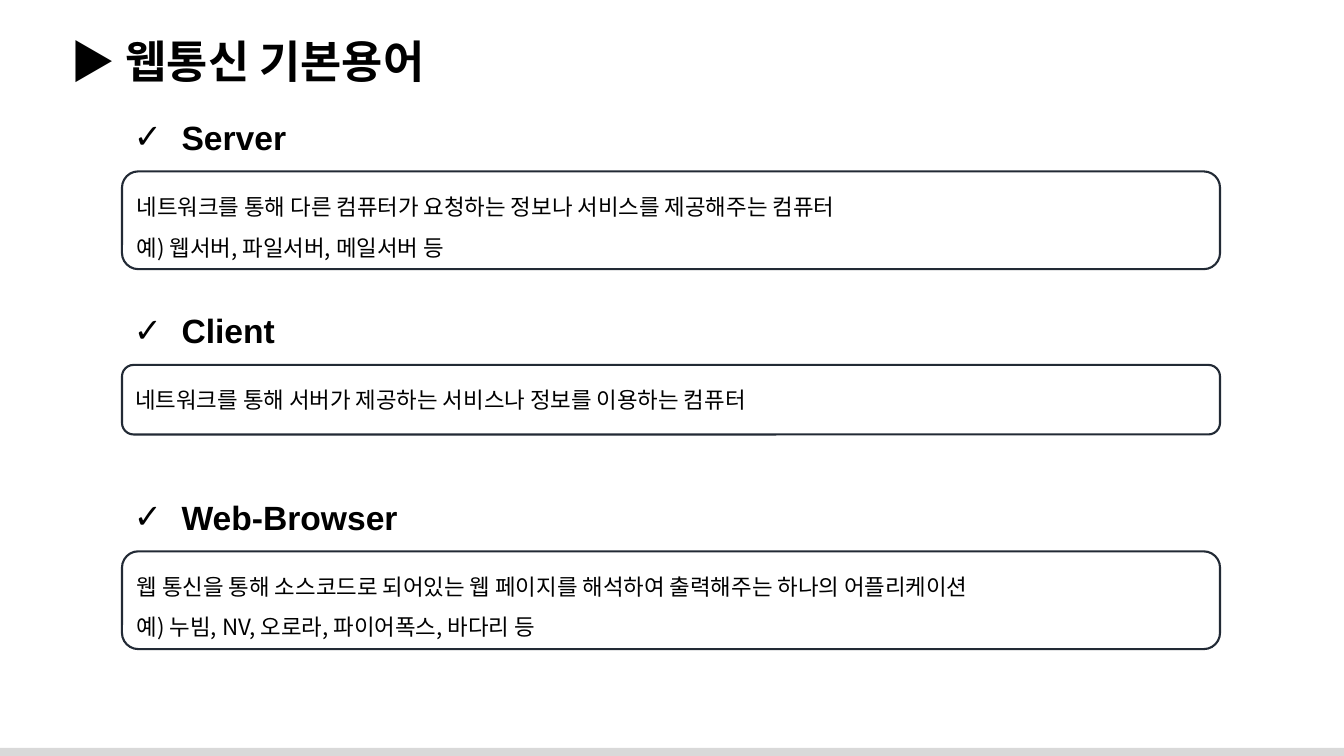
import pptx
import pptx.util
import pptx.dml.color
import pptx.enum.shapes
import pptx.enum.text
import pptx.oxml.ns
from lxml import etree

RGBColor = pptx.dml.color.RGBColor
BLACK = RGBColor(0x00, 0x00, 0x00)
NAVY = RGBColor(0x22, 0x2A, 0x35)
GRAY = RGBColor(0xD9, 0xD9, 0xD9)

HEAD = "Arial"
BODY = "Noto Sans CJK KR"
WIDE = pptx.util.Inches(13.33)
HIGH = pptx.util.Inches(7.5)
SHAPE = pptx.enum.shapes.MSO_SHAPE
ANCHOR = pptx.enum.text.MSO_ANCHOR
ALIGN = pptx.enum.text.PP_ALIGN
FIT = pptx.enum.text.MSO_AUTO_SIZE

# Shares of the slide, in percent
LEFT, SPAN = 9.08, 81.7
LIFT = 7.87  # from a term down to its card

# Term, card top, card height, line spacing, card lines
TERMS = [
    ("Server", 22.67, 12.93, 1.5,
     ["네트워크를 통해 다른 컴퓨터가 요청하는 정보나 서비스를 제공해주는 컴퓨터",
      "예) 웹서버, 파일서버, 메일서버 등"]),
    ("Client", 48.27, 9.2, 1.0,
     ["네트워크를 통해 서버가 제공하는 서비스나 정보를 이용하는 컴퓨터"]),
    ("Web-Browser", 72.93, 12.93, 1.5,
     ["웹 통신을 통해 소스코드로 되어있는 웹 페이지를 해석하여 출력해주는 하나의 어플리케이션",
      "예) 누빔, NV, 오로라, 파이어폭스, 바다리 등"]),
]


def area(left, top, wide, high):
    """Turn percent shares into slide lengths."""
    return (int(WIDE * left / 100), int(HIGH * top / 100),
            int(WIDE * wide / 100), int(HIGH * high / 100))


def add_run(para, text, size, face, bold=False):
    run = para.add_run()
    run.text = text
    font = run.font
    font.size = pptx.util.Pt(size)
    font.name = face
    font.bold = bold
    font.color.rgb = BLACK
    if face == BODY:
        east = etree.SubElement(font._element, pptx.oxml.ns.qn("a:ea"))
        east.set("typeface", face)


def add_check(para):
    """Give a paragraph a hanging check mark."""
    props = para._p.get_or_add_pPr()
    hang = pptx.util.Inches(0.38)
    props.set("marL", str(hang))
    props.set("indent", str(-hang))
    face = etree.SubElement(props, pptx.oxml.ns.qn("a:buFont"))
    face.set("typeface", HEAD)
    mark = etree.SubElement(props, pptx.oxml.ns.qn("a:buChar"))
    mark.set("char", "✓")


def add_title(slide, text):
    title = slide.shapes.title
    title.left, title.top, title.width, title.height = area(4.5, 3.73, 94.5, 8.53)
    frame = title.text_frame
    frame.auto_size = FIT.NONE
    frame.vertical_anchor = ANCHOR.TOP
    para = frame.paragraphs[0]
    para.alignment = ALIGN.LEFT
    add_run(para, text, 32, HEAD, True)


def add_term(slide, name, top):
    box = slide.shapes.add_textbox(*area(9.23, top, 21.5, 6.67))
    box.text_frame.word_wrap = True
    para = box.text_frame.paragraphs[0]
    add_check(para)
    add_run(para, " " + name, 24, HEAD, True)


def add_card(slide, top, high, gap, lines):
    card = slide.shapes.add_shape(SHAPE.ROUNDED_RECTANGLE,
                                  *area(LEFT, top, SPAN, high))
    card.shadow.inherit = False
    card.fill.background()
    card.line.color.rgb = NAVY
    card.line.width = pptx.util.Pt(1.5)
    frame = card.text_frame
    frame.word_wrap = True
    frame.vertical_anchor = ANCHOR.MIDDLE
    for i, line in enumerate(lines):
        para = frame.add_paragraph() if i else frame.paragraphs[0]
        para.alignment = ALIGN.LEFT
        para.line_spacing = gap
        add_run(para, line, 16, BODY)


def add_strip(slide):
    strip = slide.shapes.add_shape(SHAPE.RECTANGLE, *area(0, 98.93, 100, 1.07))
    strip.shadow.inherit = False
    strip.fill.solid()
    strip.fill.fore_color.rgb = GRAY
    strip.line.fill.background()


def main():
    deck = pptx.Presentation()
    deck.slide_width, deck.slide_height = WIDE, HIGH
    slide = deck.slides.add_slide(deck.slide_layouts[5])

    # Footer strip and title
    add_strip(slide)
    add_title(slide, "▶ 웹통신 기본용어")

    # Terms with their cards
    for name, top, high, gap, lines in TERMS:
        add_card(slide, top, high, gap, lines)
        add_term(slide, name, top - LIFT)

    deck.save("out.pptx")


if __name__ == "__main__":
    main()
